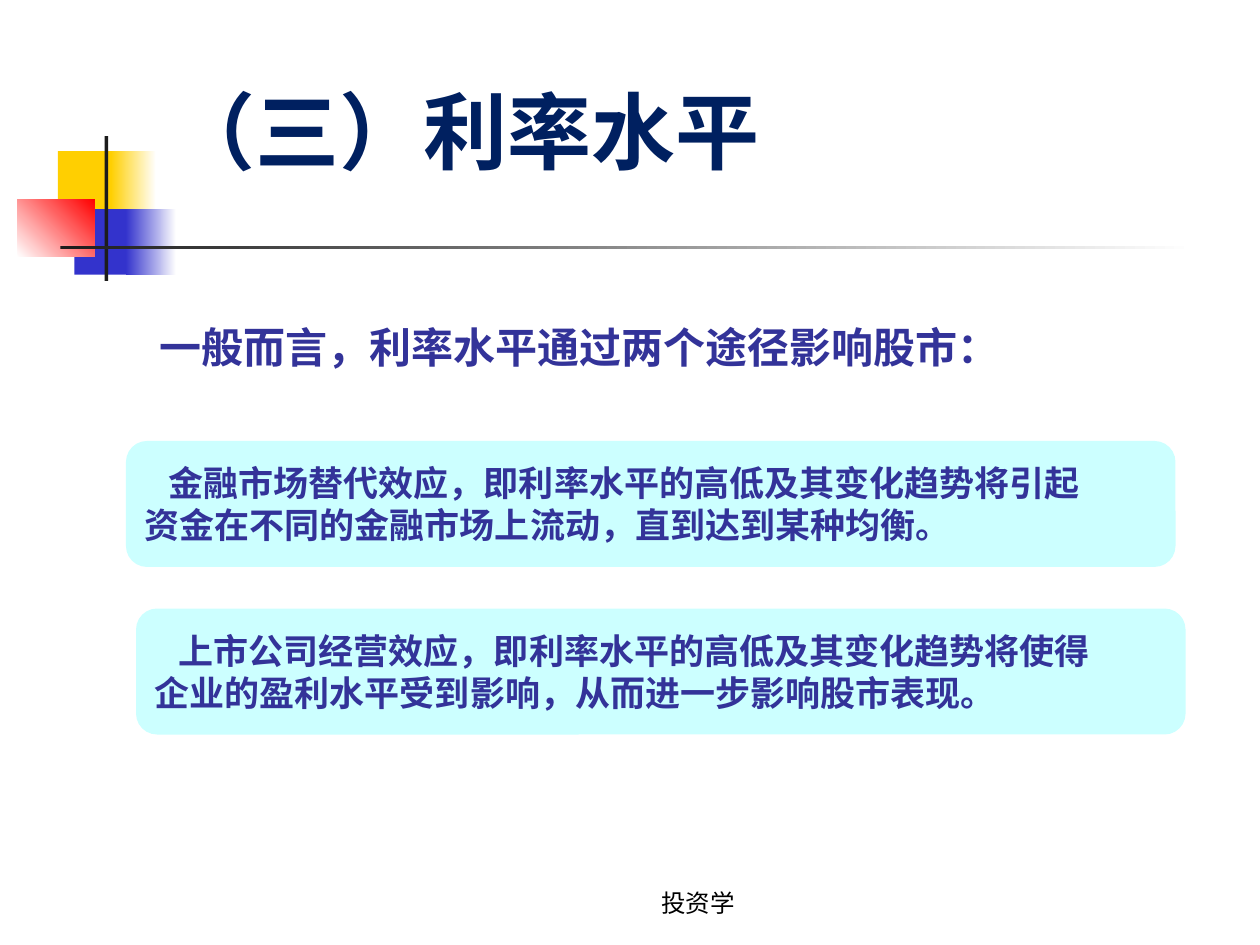
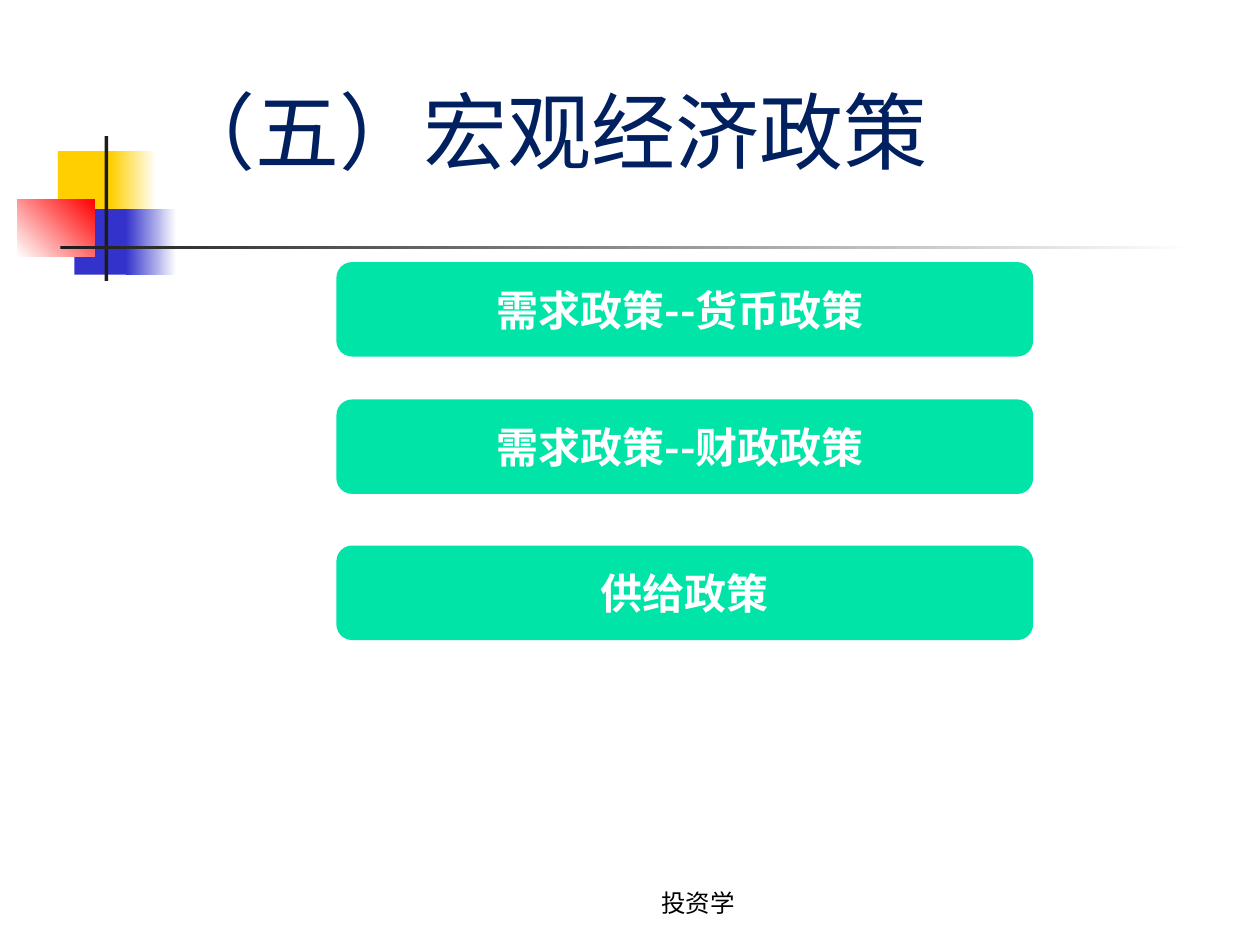
from lxml.etree import SubElement
from pptx import Presentation
from pptx.dml.color import RGBColor
from pptx.enum.shapes import MSO_SHAPE
from pptx.enum.text import MSO_ANCHOR, PP_ALIGN
from pptx.oxml.ns import qn
from pptx.util import Inches, Pt

COLORS = {
    "yellow": "FFCF01", "blue": "3333CC", "red": "FF0000", "dark": "1C1C1C",
    "white": "FFFFFF", "black": "000000", "navy": "002060", "indigo": "333399",
    "pale": "CCFFFF", "green": "00E4A8",
}
CJK_FONT = "Noto Sans CJK SC"
LATIN_FONT = "Roboto"

# place, gradient colours or one solid colour, counter-clockwise angle
DECORATION = [
    ((0.46, 1.2, 0.48, 0.52), ["yellow"], 0),
    ((0.88, 1.2, 0.36, 0.52), ["yellow", "white"], 0),
    ((0.59, 1.66, 0.46, 0.52), ["blue"], 0),
    ((1, 1.66, 0.4, 0.52), ["blue", "white"], 0),
    ((0.14, 1.58, 0.61, 0.46), ["white", "red"], 45),
    ((0.83, 1.08, 0.03, 1.15), ["dark"], 0),
    ((0.48, 1.95, 9, 0.03), ["dark", "white"], 0),
]
FOOTER = "投资学"

RATE_TITLE = "（三）利率水平"
RATE_LEAD = "一般而言，利率水平通过两个途径影响股市："
RATE_EFFECTS = [
    (1, 3.5, ["金融市场替代效应，即利率水平的高低及其变化趋势将引起",
              "资金在不同的金融市场上流动，直到达到某种均衡。"]),
    (1.08, 4.83, ["上市公司经营效应，即利率水平的高低及其变化趋势将使得",
                  "企业的盈利水平受到影响，从而进一步影响股市表现。"]),
]

POLICY_TITLE = "（五）宏观经济政策"
# text, top, right inset
POLICIES = [
    ("需求政策--货币政策", 2.08, 0.17),
    ("需求政策--财政政策", 3.17, 0.17),
    ("供给政策", 4.33, 0.1),
]


def color(name):
    return RGBColor.from_string(COLORS[name])


def add_filled(slide, kind, place, fills, angle=0):
    shape = slide.shapes.add_shape(kind, *map(Inches, place))
    shape.shadow.inherit = False
    shape.line.fill.background()
    if len(fills) == 1:
        shape.fill.solid()
        shape.fill.fore_color.rgb = color(fills[0])
    else:
        shape.fill.gradient()
        shape.fill.gradient_angle = angle
        for stop, name, position in zip(shape.fill.gradient_stops, fills, (0, 1)):
            stop.color.rgb = color(name)
            stop.position = position
    return shape


def write(shape, lines, size, ink, bold=False, align=PP_ALIGN.LEFT,
          anchor=MSO_ANCHOR.MIDDLE, font=CJK_FONT, right_inset=0.1):
    frame = shape.text_frame
    frame.word_wrap = True
    frame.vertical_anchor = anchor
    frame.margin_right = Inches(right_inset)
    frame.text = "\n".join(lines)
    for para in frame.paragraphs:
        para.alignment = align
        for span in para.runs:
            span.font.size = Pt(size)
            span.font.bold = bold
            span.font.name = font
            span.font.color.rgb = color(ink)
            SubElement(span.font._element, qn("a:ea")).set("typeface", CJK_FONT)
    return frame


def add_text(slide, place, text, size, ink, **style):
    box = slide.shapes.add_textbox(*map(Inches, place))
    write(box, [text], size, ink, **style)


def add_page(deck, title, bold):
    """Add a slide with the shared decoration, title and footer."""
    page = deck.slides.add_slide(deck.slide_layouts[6])
    for place, fills, angle in DECORATION:
        add_filled(page, MSO_SHAPE.RECTANGLE, place, fills, angle)
    add_text(page, (1.26, 0.23, 8.52, 1.6), title, 48, "navy", bold=bold)
    add_text(page, (4, 6.83, 3.17, 0.5), FOOTER, 14, "black", font=LATIN_FONT,
             align=PP_ALIGN.CENTER, anchor=MSO_ANCHOR.BOTTOM, right_inset=0.19)
    return page


def add_rate_page(deck):
    page = add_page(deck, RATE_TITLE, bold=True)
    add_text(page, (1.17, 2.5, 7.33, 0.5), RATE_LEAD, 24, "indigo", bold=True)
    for left, top, lines in RATE_EFFECTS:
        box = add_filled(page, MSO_SHAPE.FLOWCHART_ALTERNATE_PROCESS,
                         (left, top, 8.33, 1), ["pale"])
        frame = write(box, lines, 20, "indigo", bold=True)
        for para in frame.paragraphs:
            para.line_spacing = Pt(24)
        first_line = frame.paragraphs[0]._p.get_or_add_pPr()
        first_line.set("marL", "0")
        first_line.set("indent", str(Inches(0.19)))


def add_policy_page(deck):
    page = add_page(deck, POLICY_TITLE, bold=False)
    for text, top, right_inset in POLICIES:
        box = add_filled(page, MSO_SHAPE.FLOWCHART_ALTERNATE_PROCESS,
                         (2.67, top, 5.53, 0.75), ["green"])
        write(box, [text], 24, "white", bold=True, align=PP_ALIGN.CENTER,
              right_inset=right_inset)


def main():
    deck = Presentation()
    deck.slide_width = Inches(10)
    deck.slide_height = Inches(7.5)
    add_rate_page(deck)
    add_policy_page(deck)
    deck.save("out.pptx")


if __name__ == "__main__":
    main()
